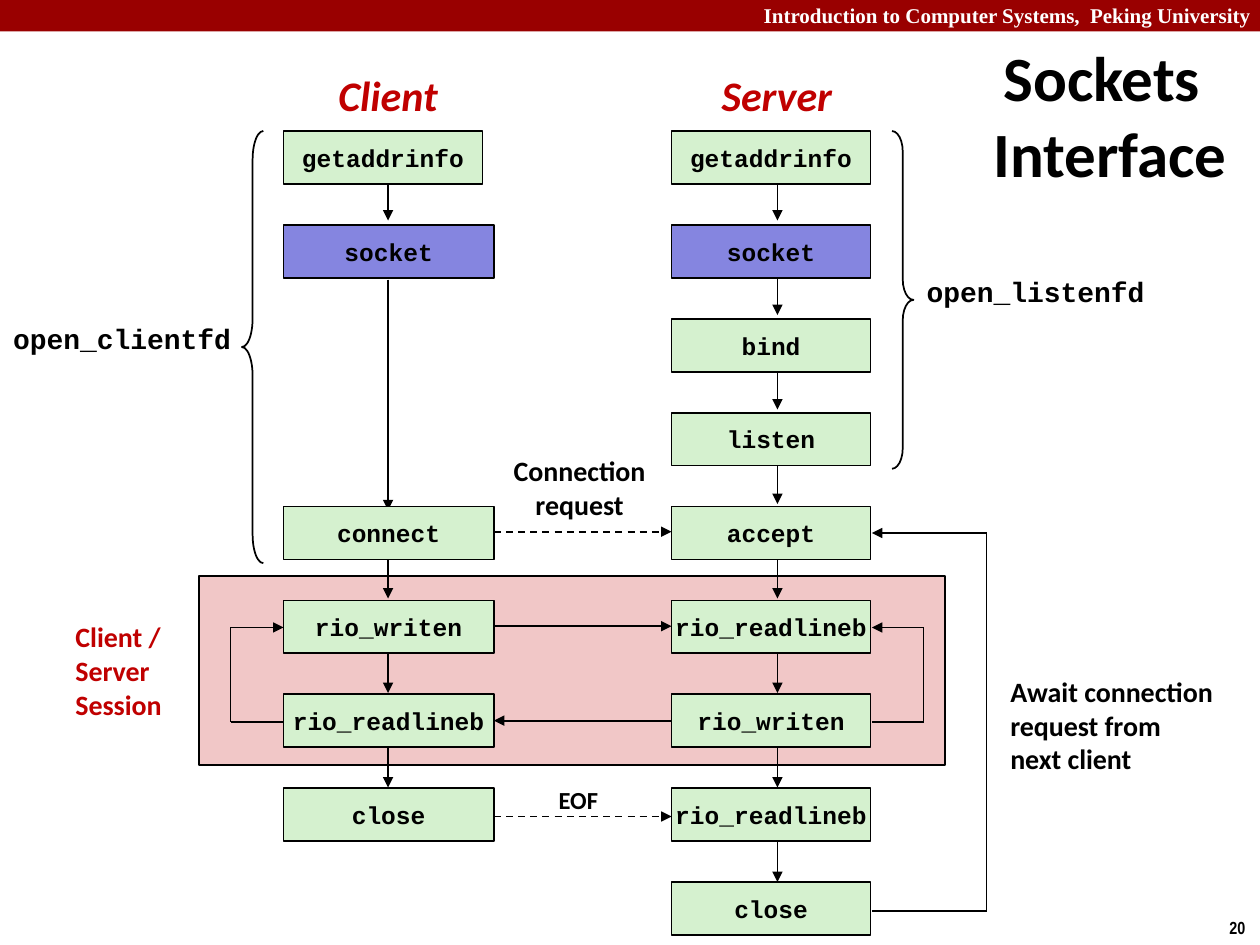
from lxml import etree
from pptx import Presentation
from pptx.dml.color import RGBColor
from pptx.enum.dml import MSO_LINE
from pptx.enum.shapes import MSO_CONNECTOR, MSO_SHAPE
from pptx.enum.text import MSO_ANCHOR, PP_ALIGN
from pptx.oxml.ns import qn
from pptx.util import Inches, Pt

BLACK, WHITE, RED = "000000", "FFFFFF", "C00000"
GREEN, BLUE, PINK, MAROON = "D5F1CF", "8585E0", "F1C7C7", "990000"
CODE_FONT = "Courier New"
FIRST_ROW, ROW_STEP, BOX_HEIGHT = 1.04, 0.745, 0.42
CLIENT_LEFT, SERVER_LEFT = 2.25, 5.33
CLIENT_WIDTH, SERVER_WIDTH = 1.67, 1.58
CLIENT_AXIS, SERVER_AXIS = 3.08, 6.17
CLIENT_RIGHT = CLIENT_LEFT + CLIENT_WIDTH
SERVER_RIGHT = 6.92

CLIENT_CALLS = {1: "socket", 4: "connect", 5: "rio_writen", 6: "rio_readlineb", 7: "close"}
SERVER_CALLS = ["getaddrinfo", "socket", "bind", "listen", "accept",
                "rio_readlineb", "rio_writen", "rio_readlineb", "close"]


def color(hex_string):
    return RGBColor.from_string(hex_string)


def write(frame, text, size=16, font="Calibri", ink=BLACK, italic=False,
          align=PP_ALIGN.CENTER, anchor=MSO_ANCHOR.MIDDLE, wrap=False, hanging=0):
    frame.word_wrap = wrap
    frame.vertical_anchor = anchor
    for index, line in enumerate(text.split("\n")):
        paragraph = frame.paragraphs[0] if index == 0 else frame.add_paragraph()
        paragraph.alignment = align
        if hanging:
            properties = paragraph._p.get_or_add_pPr()
            properties.set("marL", str(Inches(hanging)))
            properties.set("indent", str(-Inches(hanging)))
        run = paragraph.add_run()
        run.text = line
        run.font.size = Pt(size)
        run.font.name = font
        run.font.bold = True
        run.font.italic = italic
        run.font.color.rgb = color(ink)


def add_label(slide, text, left, top, width, height, **style):
    box = slide.shapes.add_textbox(Inches(left), Inches(top), Inches(width), Inches(height))
    write(box.text_frame, text, **style)


def add_shape(slide, kind, left, top, width, height, fill=None, outlined=True):
    shape = slide.shapes.add_shape(kind, Inches(left), Inches(top), Inches(width), Inches(height))
    shape.shadow.inherit = False
    if fill:
        shape.fill.solid()
        shape.fill.fore_color.rgb = color(fill)
    else:
        shape.fill.background()
    if outlined:
        shape.line.color.rgb = color(BLACK)
        shape.line.width = Pt(1)
    else:
        shape.line.fill.background()
    return shape


def add_call(slide, name, row, left, width):
    fill = BLUE if name == "socket" else GREEN
    call = add_shape(slide, MSO_SHAPE.RECTANGLE, left, FIRST_ROW + row * ROW_STEP,
                     width, BOX_HEIGHT, fill)
    write(call.text_frame, name, size=14, font=CODE_FONT)


def add_brace(slide, kind, left, height, curve):
    brace = add_shape(slide, kind, left, FIRST_ROW, 0.17, height)
    brace.adjustments[0] = curve


def add_line(slide, start, end, arrow=True, dashed=False):
    line = slide.shapes.add_connector(MSO_CONNECTOR.STRAIGHT, *map(Inches, start + end))
    line.line.color.rgb = color(BLACK)
    line.line.width = Pt(1)
    if dashed:
        line.line.dash_style = MSO_LINE.DASH
    if arrow:
        etree.SubElement(line.line._get_or_add_ln(), qn("a:tailEnd"), type="triangle")
    etree.SubElement(line._element.spPr, qn("a:effectLst"))


def add_loop(slide, edge, outer, bottom, top):
    corners = [(edge, bottom), (outer, bottom), (outer, top), (edge, top)]
    for index, (start, end) in enumerate(zip(corners, corners[1:])):
        add_line(slide, start, end, arrow=index == 2)


def add_down_arrows(slide, axis, rows):
    for row in rows:
        start = 1.41 + 0.75 * row
        add_line(slide, (axis, start), (axis, start + 0.34))


def add_header(slide):
    add_shape(slide, MSO_SHAPE.RECTANGLE, 0, 0, 10, 0.25, MAROON, outlined=False)
    add_label(slide, "Introduction to Computer Systems,  Peking University ", 4.08, -0.03, 5.99, 0.3,
              size=12, font="Times New Roman", ink=WHITE, align=PP_ALIGN.RIGHT,
              anchor=MSO_ANCHOR.TOP, wrap=True)
    add_label(slide, "20", 9.66, 7.23, 0.34, 0.27, size=10, font="Arial Narrow",
              align=PP_ALIGN.LEFT, anchor=MSO_ANCHOR.TOP)
    add_label(slide, "Sockets Interface", 7.58, 0.25, 2.33, 1.31, size=36, wrap=True, hanging=0.13)


def add_flow(slide):
    add_loop(slide, SERVER_RIGHT, 7.33, 5.73, 4.98)
    add_loop(slide, CLIENT_LEFT, 1.83, 5.73, 4.98)
    add_loop(slide, SERVER_RIGHT, 7.83, 7.23, 4.23)
    add_line(slide, (CLIENT_AXIS, 2.22), (CLIENT_AXIS, 4.05))
    add_down_arrows(slide, CLIENT_AXIS, [0, 4, 5, 6])
    add_down_arrows(slide, SERVER_AXIS, range(8))
    for height in (4.22, 6.48):
        add_line(slide, (CLIENT_RIGHT, height), (SERVER_LEFT, height), dashed=True)
    add_line(slide, (CLIENT_RIGHT, 4.97), (SERVER_LEFT, 4.97))
    add_line(slide, (SERVER_LEFT, 5.72), (CLIENT_RIGHT, 5.72))


def add_calls(slide):
    add_call(slide, "getaddrinfo", 0, CLIENT_LEFT, SERVER_WIDTH)
    for row, name in CLIENT_CALLS.items():
        add_call(slide, name, row, CLIENT_LEFT, CLIENT_WIDTH)
    for row, name in enumerate(SERVER_CALLS):
        add_call(slide, name, row, SERVER_LEFT, SERVER_WIDTH)


def add_annotations(slide):
    add_label(slide, "Client", 2.58, 0.5, 1, 0.5, size=24, ink=RED, italic=True)
    add_label(slide, "Server", 5.62, 0.5, 1.09, 0.5, size=24, ink=RED, italic=True)
    add_label(slide, "Client / Server\nSession", 0.5, 4.87, 0.92, 0.9, ink=RED,
              align=PP_ALIGN.LEFT, wrap=True)
    add_label(slide, "Connection\nrequest", 3.97, 3.55, 1.26, 0.64)
    add_label(slide, "EOF", 4.33, 6.18, 0.52, 0.34, size=14)
    add_label(slide, "Await connection\nrequest from\nnext client", 7.92, 5.3, 1.83, 0.91,
              align=PP_ALIGN.LEFT)
    add_brace(slide, MSO_SHAPE.RIGHT_BRACE, 7.08, 2.68, 0.96)
    add_label(slide, "open_listenfd", 7.25, 2.13, 1.94, 0.37, font=CODE_FONT)
    add_brace(slide, MSO_SHAPE.LEFT_BRACE, 1.92, 3.43, 1.33)
    add_label(slide, "open_clientfd", 0, 2.5, 1.94, 0.37, font=CODE_FONT)


def main():
    deck = Presentation()
    deck.slide_width, deck.slide_height = Inches(10), Inches(7.5)
    slide = deck.slides.add_slide(deck.slide_layouts[6])
    add_header(slide)
    add_shape(slide, MSO_SHAPE.RECTANGLE, 1.58, 4.57, 5.92, 1.5, PINK)
    add_flow(slide)
    add_calls(slide)
    add_annotations(slide)
    deck.save("out.pptx")


if __name__ == "__main__":
    main()
